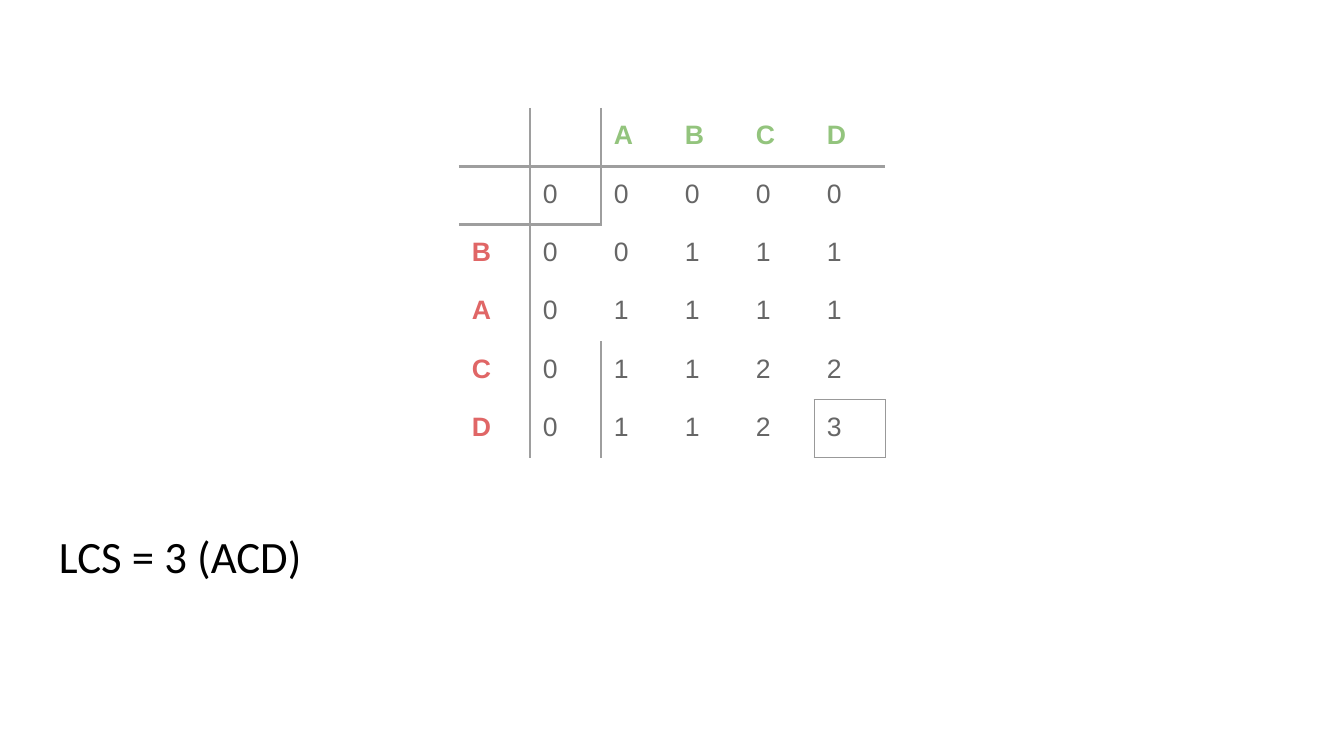
from collections import namedtuple

from lxml import etree
from pptx import Presentation
from pptx.dml.color import RGBColor
from pptx.enum.text import MSO_ANCHOR
from pptx.oxml.ns import qn
from pptx.util import Emu, Pt

TOP = MSO_ANCHOR.TOP
PX = 914400 / 100.8
Box = namedtuple("Box", "left top width height")

THEME = {
    "row_letter": {"name": "Arial", "size": Pt(19), "bold": True, "color": "E06666"},
    "column_letter": {"name": "Arial", "size": Pt(19), "bold": True, "color": "93C47D"},
    "number": {"name": "Arial", "size": Pt(19), "bold": False, "color": "666666"},
    "answer": {"name": "Calibri", "size": Pt(32), "bold": False, "color": "000000"},
    "rule": ("9E9E9E", Pt(2.25)),
    "frame": ("999999", Pt(0.75)),
}
INSET = 13
LENGTHS = [
    ["", "", "A", "B", "C", "D"],
    ["", "0", "0", "0", "0", "0"],
    ["B", "0", "0", "1", "1", "1"],
    ["A", "0", "1", "1", "1", "1"],
    ["C", "0", "1", "1", "2", "2"],
    ["D", "0", "1", "1", "2", "3"],
]
SIZE = len(LENGTHS)


def px(length):
    return Emu(round(length * PX))


def write_text(paragraph, text, style):
    run = paragraph.add_run()
    run.text = text
    for name, value in style.items():
        if name == "color":
            run.font.color.rgb = RGBColor.from_string(value)
        else:
            setattr(run.font, name, value)


def table_edges():
    """Map (row, column, side) to a line style; both cells at an edge share it."""
    edges = {}

    def vertical(column, rows, line):
        for row in rows:
            edges[row, column - 1, "R"] = edges[row, column, "L"] = line

    def horizontal(row, columns, line):
        for column in columns:
            edges[row - 1, column, "B"] = edges[row, column, "T"] = line

    last = SIZE - 1
    vertical(1, range(SIZE), THEME["rule"])
    vertical(2, (0, 1, 4, 5), THEME["rule"])
    horizontal(1, range(SIZE), THEME["rule"])
    horizontal(2, range(2), THEME["rule"])
    # Frame around the result cell
    for boundary in (last, SIZE):
        vertical(boundary, [last], THEME["frame"])
        horizontal(boundary, [last], THEME["frame"])
    return edges


def set_borders(cell, lines):
    properties = cell._tc.get_or_add_tcPr()
    for position, side in enumerate("LRTB"):
        border = etree.Element(qn(f"a:ln{side}"))
        if lines[side]:
            color, width = lines[side]
            border.set("w", str(width))
            fill = etree.SubElement(border, qn("a:solidFill"))
            etree.SubElement(fill, qn("a:srgbClr"), val=color)
        else:
            etree.SubElement(border, qn("a:noFill"))
        properties.insert(position, border)


def add_length_table(slide, box):
    table = slide.shapes.add_table(SIZE, SIZE, *map(px, box)).table
    table.first_row = table.horz_banding = False
    edges = table_edges()
    for column in table.columns:
        column.width = px(box.width / SIZE)
    for row in table.rows:
        row.height = px(box.height / SIZE)
    for row, values in enumerate(LENGTHS):
        for column, value in enumerate(values):
            cell = table.cell(row, column)
            cell.fill.background()
            cell.vertical_anchor = TOP
            set_borders(cell, {side: edges.get((row, column, side)) for side in "LRTB"})
            if value:
                for side in ("left", "right", "top", "bottom"):
                    setattr(cell, f"margin_{side}", px(INSET))
                kind = "column_letter" if row == 0 else "row_letter" if column == 0 else "number"
                write_text(cell.text_frame.paragraphs[0], value, THEME[kind])


def add_answer(slide, box):
    frame = slide.shapes.add_textbox(*map(px, box)).text_frame
    frame.word_wrap = True
    frame.vertical_anchor = TOP
    for side in ("left", "right", "top", "bottom"):
        setattr(frame, f"margin_{side}", px(INSET))
    write_text(frame.paragraphs[0], "LCS = 3 (ACD)", THEME["answer"])


def main():
    presentation = Presentation()
    presentation.slide_width, presentation.slide_height = px(1344), px(756)
    slide = presentation.slides.add_slide(presentation.slide_layouts[6])
    # Answer line below, table of subsequence lengths above
    add_answer(slide, Box(46, 516, 1252, 85))
    add_length_table(slide, Box(459, 108, 426, 350))
    presentation.save("out.pptx")


if __name__ == "__main__":
    main()
